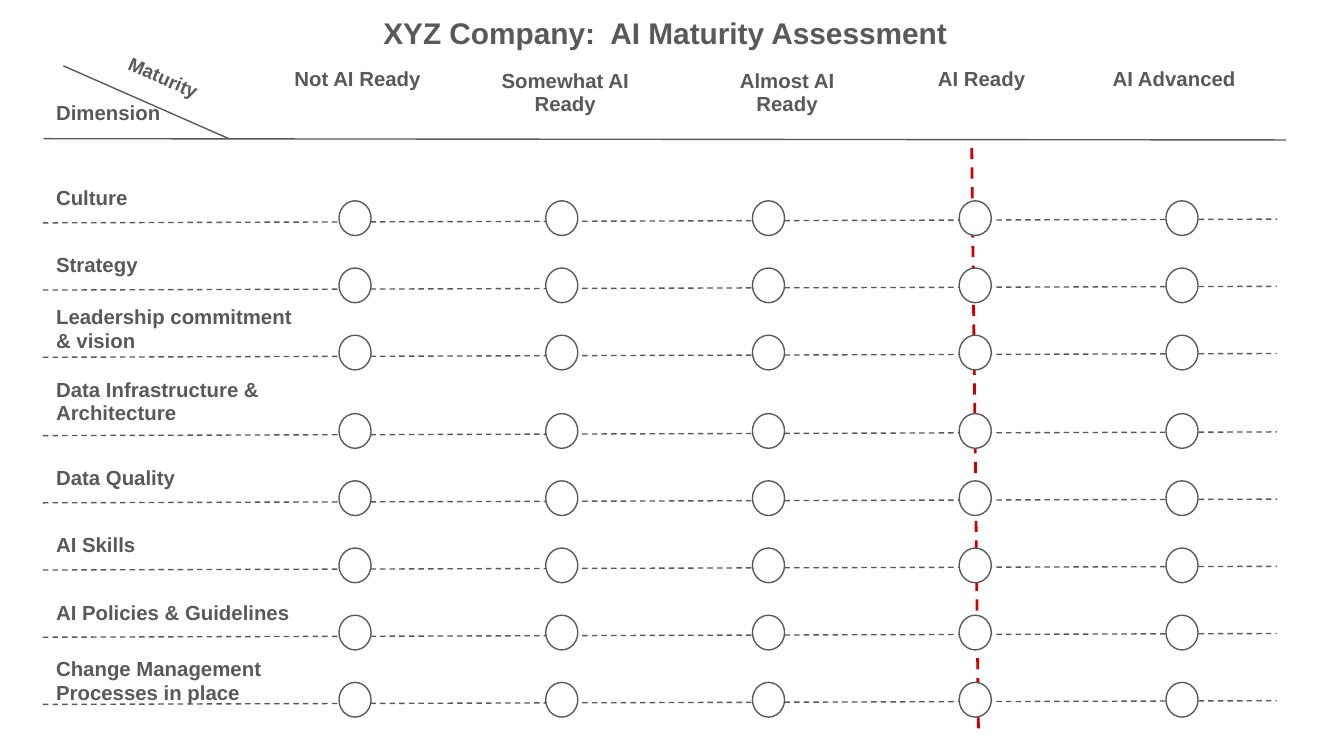
from pptx import Presentation
from pptx.util import Pt
from pptx.dml.color import RGBColor
from pptx.enum import dml, shapes, text
from pptx.oxml.ns import qn
from lxml import etree

GREY = RGBColor(0x59, 0x59, 0x59)
RED = RGBColor(0xCC, 0x00, 0x00)
WHITE = RGBColor(0xFF, 0xFF, 0xFF)
LEFT = text.PP_ALIGN.LEFT
MID = text.PP_ALIGN.CENTER

TITLE = "XYZ Company:  AI Maturity Assessment"
AXES = [
    ("Dimension", (23, 48.2, 82, 31), 10.9, 0),
    ("Maturity", (59, 30.2, 54, 31), 10.1, 23.6),
]
LEVELS = [
    ("Not AI Ready", 150.5, 82, MID),
    ("Somewhat AI Ready", 258.5, 88.6, MID),
    ("Almost AI Ready", 373, 97.2, MID),
    ("AI Ready", 495.4, 67.7, LEFT),
    ("AI Advanced", 589, 97.2, LEFT),
]
ROWS = [
    ("Culture", 0, 25.6),
    ("Strategy", 36, 25.6),
    ("Leadership commitment & vision", 36, 34.5),
    ("Data Infrastructure & Architecture", 42, 37.7),
    ("Data Quality", 36, 25.4),
    ("AI Skills", 36, 25.4),
    ("AI Policies & Guidelines", 36, 25.4),
    ("Change Management Processes in place", 36, 31.9),
]
EDGE, END, TOP = 23, 684, 119.4
DOT_X, DOT_W, DOT_H, STEP = 181.6, 17.2, 18.6, 110.75

deck = Presentation()
deck.slide_width, deck.slide_height = Pt(720), Pt(405)
slide = deck.slides.add_slide(deck.slide_layouts[6])


def apply(item, form):
    for key, val in form.items():
        setattr(item, key, val)


def label(words, box, size=10.9, align=LEFT, turn=0, form=None):
    shape = slide.shapes.add_textbox(*map(Pt, box))
    shape.rotation = turn
    frame = shape.text_frame
    apply(frame, {"word_wrap": not turn, "margin_left": Pt(7.2),
                  "margin_right": Pt(7.2), "margin_top": Pt(7.2),
                  "margin_bottom": Pt(7.2),
                  "vertical_anchor": text.MSO_ANCHOR.TOP})
    para = frame.paragraphs[0]
    apply(para, {"alignment": align, "line_spacing": 0.95,
                 "space_after": Pt(12)})
    run = para.add_run()
    run.text = words
    apply(run.font, {"name": "Arial", "size": Pt(size), "bold": True})
    run.font.color.rgb = GREY
    for key, val in (form or {}).items():
        setattr(para if key in ("line_spacing", "space_after") else frame, key, val)


def rule(ends, color=GREY, width=0.75, dash=None):
    line = slide.shapes.add_connector(shapes.MSO_CONNECTOR.STRAIGHT, *map(Pt, ends))
    line.line.color.rgb = color
    apply(line.line, {"width": Pt(width), "dash_style": dash})
    etree.SubElement(line._element.spPr, qn("a:effectLst"))


def dot(left, top):
    shape = slide.shapes.add_shape(shapes.MSO_SHAPE.OVAL, Pt(left), Pt(top),
                                   Pt(DOT_W), Pt(DOT_H))
    shape.shadow.inherit = False
    shape.fill.solid()
    shape.fill.fore_color.rgb = WHITE
    shape.line.color.rgb = GREY
    shape.line.width = Pt(0.75)


DASH = dml.MSO_LINE.DASH
rule((520.6, 79.2, 524.2, 393.1), RED, 1.5, DASH)
for words, box, size, turn in AXES:
    label(words, box, size, turn=turn)
rule((EDGE + 0.4, 74.3, 689, 75))
rule((34, 35.3, 122.6, 74.3))
for words, left, width, align in LEVELS:
    label(words, (left, 30.2, width, 31), align=align)

base = TOP
for words, gap, lift in ROWS:
    base += gap
    label(words, (EDGE, base - lift, 147, 21.6))
    rule((EDGE, base, END, base - 2), dash=DASH)
    for col in range(len(LEVELS)):
        dot(DOT_X + col * STEP, base - 11.8)

label(TITLE, (23.8, 0, 665.3, 35.3), 16, MID,
      form={"line_spacing": 1.0, "space_after": Pt(0),
            "vertical_anchor": text.MSO_ANCHOR.MIDDLE})
deck.save("out.pptx")
